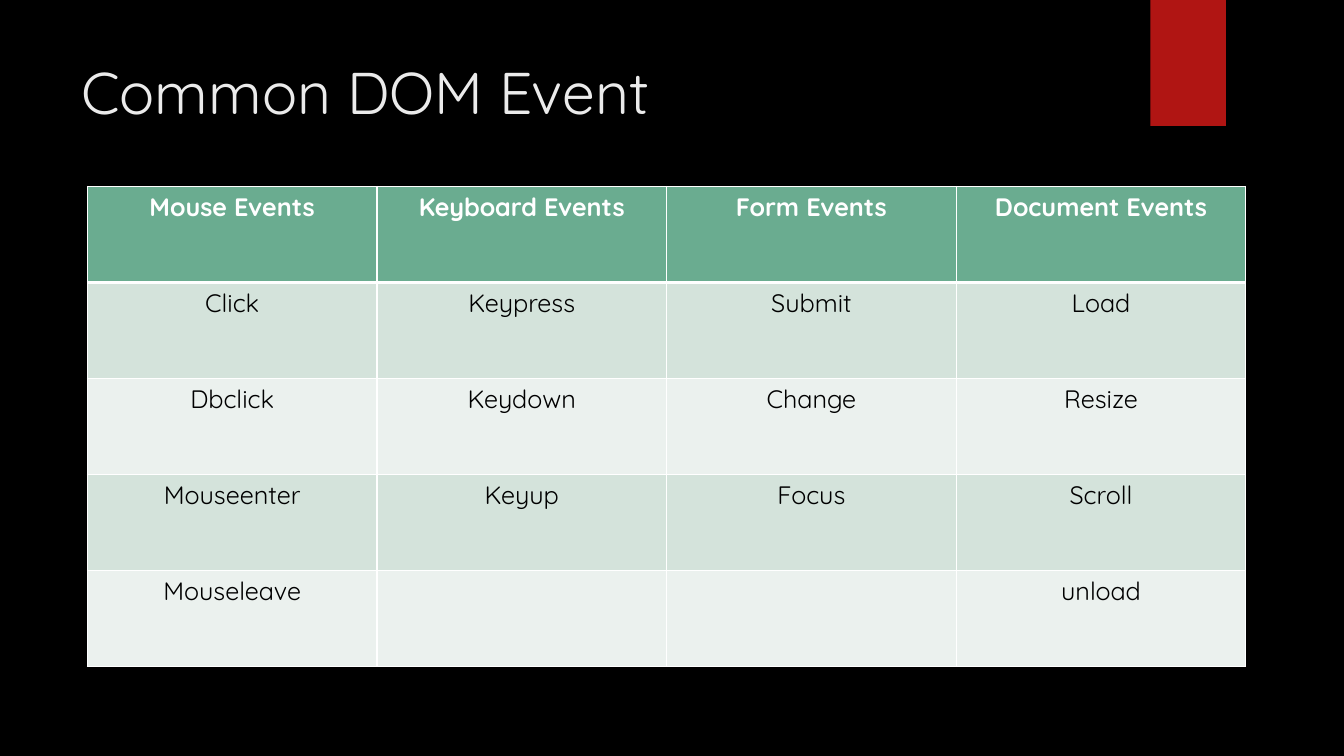
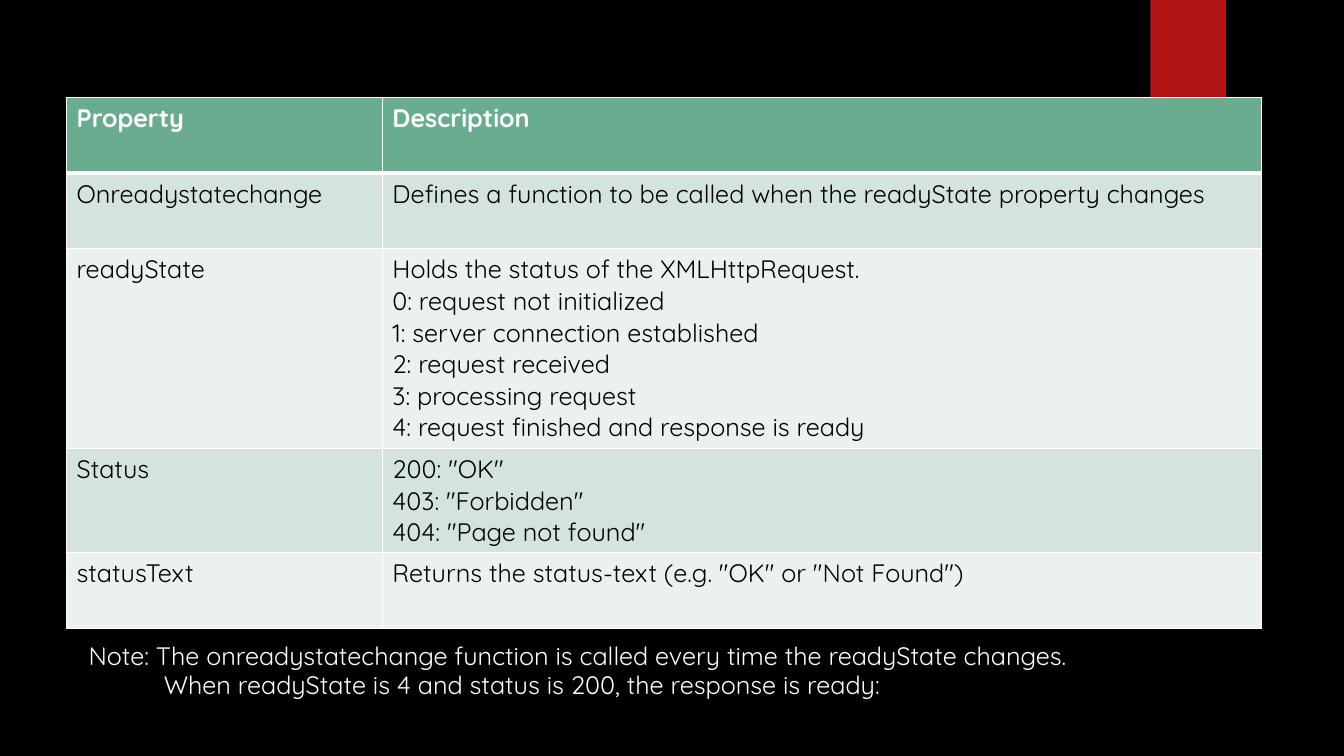
"""Build two dark slides on DOM events and request properties."""
from dataclasses import dataclass

from lxml.etree import SubElement
from pptx import Presentation
from pptx.dml.color import RGBColor
from pptx.enum.shapes import MSO_SHAPE
from pptx.enum.text import PP_ALIGN
from pptx.oxml.ns import qn
from pptx.util import Inches, Pt


@dataclass(frozen=True)
class Theme:
    """Colours, type sizes and line widths that the slides share."""
    font: str = "Quicksand"
    title_size: int = 42
    body_size: int = 18
    rule: int = 1
    heavy_rule: int = 3
    backdrop: RGBColor = RGBColor.from_string("000000")
    ribbon: RGBColor = RGBColor.from_string("B01513")
    title: RGBColor = RGBColor.from_string("EBEBEB")
    ink: RGBColor = RGBColor.from_string("000000")
    white: RGBColor = RGBColor.from_string("FFFFFF")
    header: RGBColor = RGBColor.from_string("6AAC90")
    bands: tuple = (RGBColor.from_string("EBF1EE"), RGBColor.from_string("D4E3DB"))


THEME = Theme()
WIDTH, HEIGHT = Inches(13.33), Inches(7.5)

EVENTS = [
    ["Mouse Events", "Keyboard Events", "Form Events", "Document Events"],
    ["Click", "Keypress", "Submit", "Load"],
    ["Dbclick", "Keydown", "Change", "Resize"],
    ["Mouseenter", "Keyup", "Focus", "Scroll"],
    ["Mouseleave", "", "", "unload"],
]
PROPERTIES = [
    ["Property", "Description"],
    ["Onreadystatechange",
     "Defines a function to be called when the readyState property changes"],
    ["readyState",
     "Holds the status of the XMLHttpRequest.\n"
     "0: request not initialized\n"
     "1: server connection established\n"
     "2: request received\n"
     "3: processing request\n"
     "4: request finished and response is ready"],
    ["Status", '200: "OK"\n403: "Forbidden"\n404: "Page not found"'],
    ["statusText", 'Returns the status-text (e.g. "OK" or "Not Found")'],
]
NOTE = ("Note: The onreadystatechange function is called every time the readyState changes.\n"
        "When readyState is 4 and status is 200, the response is ready:")


def across(percent):
    """Turn a percentage of the slide's width into a length."""
    return round(WIDTH * percent / 100)


def down(percent):
    """Turn a percentage of the slide's height into a length."""
    return round(HEIGHT * percent / 100)


def area(left, top, width, height):
    """Turn four percentages into a position and a size."""
    return across(left), down(top), across(width), down(height)


def write(frame, text, *, color, size=THEME.body_size, bold=False,
          align=PP_ALIGN.LEFT, spacing=None, later_indent=0):
    """Write one paragraph per line of text in a single format."""
    frame.word_wrap = True
    for index, line in enumerate(text.split("\n")):
        paragraph = frame.add_paragraph() if index else frame.paragraphs[0]
        paragraph.alignment = align
        paragraph.line_spacing = spacing
        if index and later_indent:
            paragraph._p.get_or_add_pPr().set("marL", str(later_indent))
        run = paragraph.add_run()
        run.text = line
        run.font.name = THEME.font
        run.font.size = Pt(size)
        run.font.bold = bold
        run.font.color.rgb = color


def add_text(slide, place, text, **style):
    """Add a text box in the given style."""
    write(slide.shapes.add_textbox(*place).text_frame, text, **style)


def draw_borders(cell, top, bottom):
    """Rule a cell in white, with its own top and bottom widths."""
    widths = {"a:lnL": THEME.rule, "a:lnR": THEME.rule, "a:lnT": top, "a:lnB": bottom}
    for side, width in widths.items():
        border = SubElement(cell._tc.get_or_add_tcPr(), qn(side), w=str(Pt(width)))
        fill = SubElement(border, qn("a:solidFill"))
        SubElement(fill, qn("a:srgbClr"), val=str(THEME.white))


def add_grid(slide, left, top, columns, rows, content, align=PP_ALIGN.LEFT):
    """Add a table with a green header above banded rows."""
    place = area(left, top, sum(columns), sum(rows))
    table = slide.shapes.add_table(len(rows), len(columns), *place).table
    for column, share in zip(table.columns, columns):
        column.width = across(share)
    for number, (row, share, texts) in enumerate(zip(table.rows, rows, content)):
        row.height = down(share)
        is_header = number == 0
        for cell, text in zip(row.cells, texts):
            draw_borders(cell,
                         THEME.heavy_rule if number == 1 else THEME.rule,
                         THEME.heavy_rule if is_header else THEME.rule)
            cell.fill.solid()
            cell.fill.fore_color.rgb = THEME.header if is_header else THEME.bands[number % 2]
            write(cell.text_frame, text, bold=is_header, align=align,
                  color=THEME.white if is_header else THEME.ink)


def add_slide(deck):
    """Add a blank slide with the red ribbon at its top."""
    slide = deck.slides.add_slide(deck.slide_layouts[6])
    ribbon = slide.shapes.add_shape(MSO_SHAPE.RECTANGLE, *area(85.6, 0, 5.62, 16.67))
    ribbon.shadow.inherit = False
    ribbon.fill.solid()
    ribbon.fill.fore_color.rgb = THEME.ribbon
    ribbon.line.fill.background()
    return slide


def main():
    """Build both slides and save the deck."""
    deck = Presentation()
    deck.slide_width, deck.slide_height = WIDTH, HEIGHT
    backdrop = deck.slide_master.background.fill
    backdrop.solid()
    backdrop.fore_color.rgb = THEME.backdrop

    events = add_slide(deck)
    add_text(events, area(5.33, 6.67, 77.2, 20.4), "Common DOM Event",
             color=THEME.title, size=THEME.title_size)
    add_grid(events, 6.5, 24.67, [21.55] * 4, [12.7] * 5, EVENTS, PP_ALIGN.CENTER)

    properties = add_slide(deck)
    add_grid(properties, 4.95, 12.9, [23.5, 65.4], [10, 10, 26.4, 13.8, 10], PROPERTIES)
    add_text(properties, area(5.85, 84.4, 91.8, 13.5), NOTE, color=THEME.white,
             spacing=0.95, later_indent=across(5.6))

    deck.save("out.pptx")


if __name__ == "__main__":
    main()
